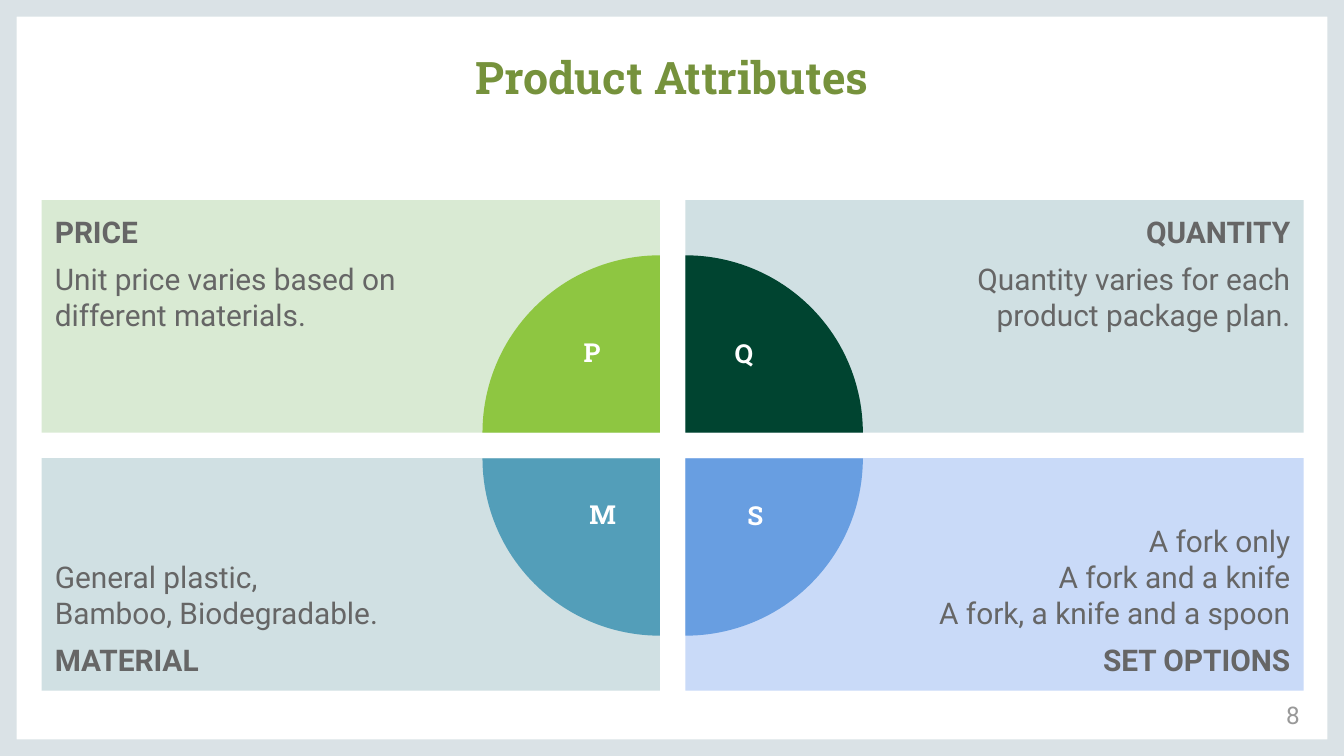
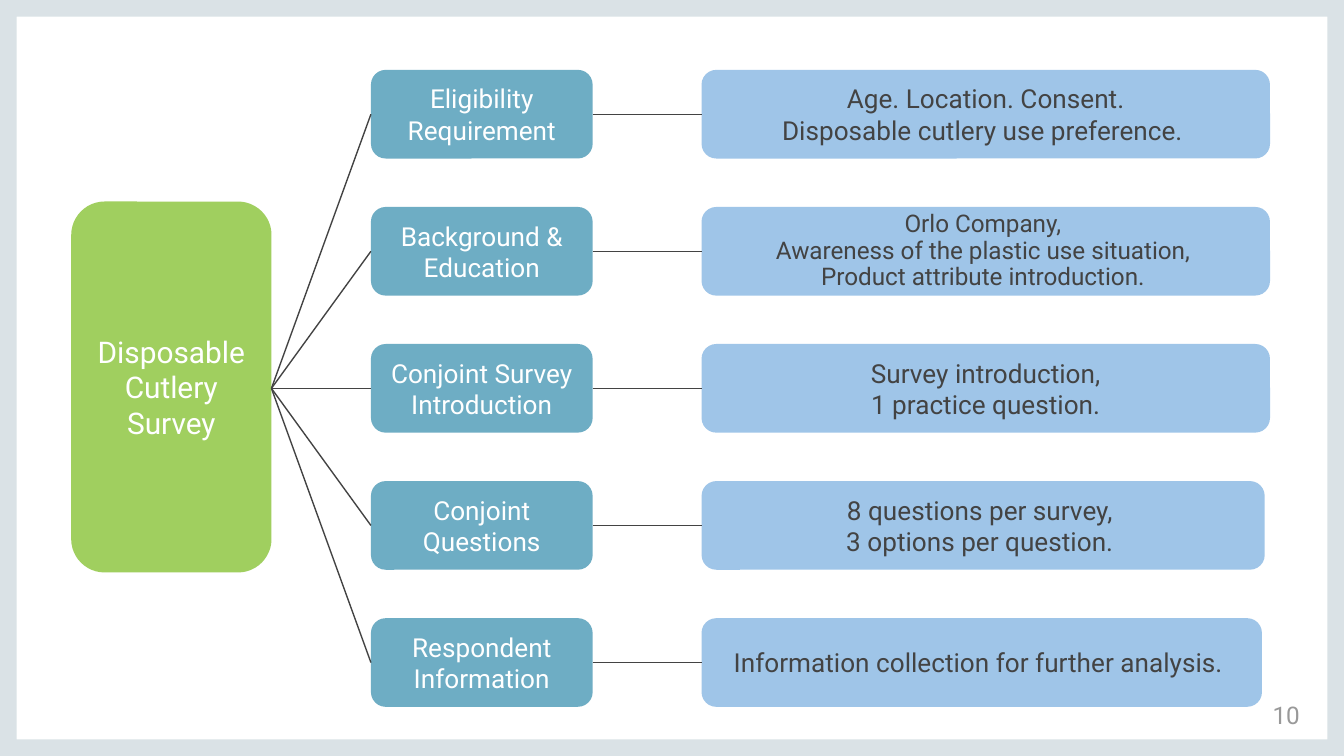
import pptx
import pptx.dml.color
import pptx.enum.shapes
import pptx.enum.text
import pptx.oxml
import pptx.oxml.ns
import pptx.util

Inches, Pt = pptx.util.Inches, pptx.util.Pt
RGB = pptx.dml.color.RGBColor.from_string
SHAPE = pptx.enum.shapes.MSO_SHAPE
ALIGN = pptx.enum.text.PP_ALIGN
ANCHOR = pptx.enum.text.MSO_ANCHOR

COLORS = {
    "frame": "DAE2E6", "title": "76923C", "page": "999999", "white": "FFFFFF",
    "body": "666666", "ink": "434343",
    "pale green": "D9EAD3", "pale teal": "D0E0E3", "pale blue": "C9DAF8",
    "green": "8EC641", "forest": "004430", "teal": "539EB9", "blue": "689EE1",
    "sky": "9FC5E8",
}
WIDTH = 10
HEIGHT = WIDTH * 9 / 16


def write(shape, paragraphs, size, color, font="Roboto", align=ALIGN.CENTER,
          anchor=ANCHOR.TOP, insets=(0.1, 0.05, 0.1, 0.05), gap=0, spacing=None):
    """Fill a shape with (text, bold) paragraphs; a newline is a line break."""
    frame = shape.text_frame
    frame.word_wrap = True
    frame.auto_size = pptx.enum.text.MSO_AUTO_SIZE.NONE
    frame.vertical_anchor = anchor
    (frame.margin_left, frame.margin_top,
     frame.margin_right, frame.margin_bottom) = map(Inches, insets)
    for i, (text, bold) in enumerate(paragraphs):
        paragraph = frame.add_paragraph() if i else frame.paragraphs[0]
        paragraph.alignment = align
        if spacing:
            paragraph.line_spacing = spacing
        if gap and i:
            paragraph.space_before = paragraph.space_after = Pt(gap)
        for j, line in enumerate(text.split("\n")):
            if j:
                paragraph.add_line_break()
            run = paragraph.add_run()
            run.text = line
            run.font.name, run.font.size, run.font.bold = font, Pt(size), bold
            run.font.color.rgb = RGB(COLORS[color])


def add_block(slide, kind, box, color, alpha=None):
    """Add a flat preset shape without outline or shadow."""
    shape = slide.shapes.add_shape(kind, *map(Inches, box))
    shape.shadow.inherit = False
    shape.line.fill.background()
    shape.fill.solid()
    shape.fill.fore_color.rgb = RGB(COLORS[color])
    if alpha:
        tint = shape.element.spPr.find(".//" + pptx.oxml.ns.qn("a:srgbClr"))
        tint.append(pptx.oxml.parse_xml(
            '<a:alpha xmlns:a="http://schemas.openxmlformats.org/drawingml/2006/main"'
            f' val="{alpha * 1000}"/>'))
    return shape


prs = pptx.Presentation()
prs.slide_width, prs.slide_height = Inches(WIDTH), Inches(HEIGHT)
attributes = prs.slides.add_slide(prs.slide_layouts[5])
survey = prs.slides.add_slide(prs.slide_layouts[6])

# Shared border, moved to the master
border = add_block(attributes, SHAPE.FRAME, (0, 0, WIDTH, HEIGHT), "frame")
border.adjustments[0] = 0.022
prs.slide_master.shapes.element.insert(2, border.element)

# Page numbers
for slide, number in ((attributes, "8"), (survey, "10")):
    page = slide.shapes.add_textbox(*map(Inches, (9.27, 5.11, 0.5, 0.43)))
    write(page, [(number, False)], 13, "page", align=ALIGN.RIGHT, insets=[0.1] * 4)

# Product attributes: title
title = attributes.shapes.title
title.left, title.top, title.width, title.height = map(Inches, (0.5, 0.31, 9, 0.56))
write(title, [("Product Attributes", True)], 24, "title", "Roboto Slab",
      anchor=ANCHOR.BOTTOM, insets=[0.1] * 4)

# Product attributes: four cards on a two by two grid
CARD_W, CARD_H = 4.6, 1.73
CARD_X, CARD_Y = (0.31, 5.1), (1.49, 3.41)
RADIUS = 1.32
cards = [
    # column, row, card colour, paragraphs
    (0, 0, "pale green", [("PRICE", True),
     ("Unit price varies based on different materials.", False)]),
    (1, 0, "pale teal", [("QUANTITY", True),
     ("Quantity varies for each product package plan.", False)]),
    (0, 1, "pale teal", [("General plastic, \nBamboo, Biodegradable.", False),
     ("MATERIAL", True)]),
    (1, 1, "pale blue",
     [("A fork only\nA fork and a knife\nA fork, a knife and a spoon", False),
      ("SET OPTIONS", True)]),
]
for column, row, color, paragraphs in cards:
    card = add_block(attributes, SHAPE.RECTANGLE,
                     (CARD_X[column], CARD_Y[row], CARD_W, CARD_H), color)
    write(card, paragraphs, 16, "body",
          align=ALIGN.RIGHT if column else ALIGN.LEFT,
          anchor=ANCHOR.BOTTOM if row else ANCHOR.TOP,
          insets=(1.5, 0.1, 0.1, 0.1) if column else (0.1, 0.1, 1.5, 0.1), gap=6)

# Product attributes: quarter circles centred on the cards' inner corners
quarters = [
    # column, row, rotation, colour
    (0, 0, 0, "green"),
    (1, 0, 90, "forest"),
    (1, 1, 180, "blue"),
    (0, 1, 270, "teal"),
]
for column, row, rotation, color in quarters:
    corner_x = CARD_X[column] + (0 if column else CARD_W)
    corner_y = CARD_Y[row] + (0 if row else CARD_H)
    quarter = add_block(attributes, SHAPE.PIE, (corner_x - RADIUS, corner_y - RADIUS,
                                                2 * RADIUS, 2 * RADIUS), color)
    quarter.adjustments[0], quarter.adjustments[1] = 108, 162
    quarter.rotation = rotation

# Product attributes: initials on the quarter circles
initials = [
    # letter, left, top, width, height
    ("P", 4.2, 2.45, 0.41, 0.48),
    ("Q", 5.31, 2.46, 0.45, 0.58),
    ("M", 4.16, 3.66, 0.65, 0.48),
    ("S", 5.44, 3.67, 0.36, 0.49),
]
for letter, *box in initials:
    initial = attributes.shapes.add_textbox(*map(Inches, box))
    write(initial, [(letter, True)], 14, "white", "Roboto Slab")

# Survey: root of the tree
ROOT_X, ROOT_W = 0.53, 1.49
STEP_X, STEP_W, DETAIL_X = 2.76, 1.65, 5.22
FIRST_Y, PITCH, ROW_H = 0.52, 1.02, 0.66
root = add_block(survey, SHAPE.ROUNDED_RECTANGLE, (ROOT_X, 1.5, ROOT_W, 2.76), "green", 84)
write(root, [("Disposable Cutlery", False), ("Survey", False)], 16, "white",
      anchor=ANCHOR.MIDDLE, insets=[0.1] * 4)

# Survey: one row for each step and its details
steps = [
    # step, detail width, detail lines
    ("Eligibility Requirement", 4.23,
     ["Age. Location. Consent.", "Disposable cutlery use preference. "]),
    ("Background & Education", 4.23,
     ["Orlo Company, ", "Awareness of the plastic use situation, ",
      "Product attribute introduction. "]),
    ("Conjoint Survey Introduction", 4.23,
     ["Survey introduction,", "1 practice question."]),
    ("Conjoint Questions", 4.19,
     ["8 questions per survey, ", "3 options per question. "]),
    ("Respondent Information", 4.17,
     ["Information collection for further analysis. "]),
]
root_y = FIRST_Y + 2 * PITCH + ROW_H / 2
for i, (name, detail_w, lines) in enumerate(steps):
    top = FIRST_Y + i * PITCH
    middle = top + ROW_H / 2
    dense = len(lines) > 2
    step = add_block(survey, SHAPE.ROUNDED_RECTANGLE, (STEP_X, top, STEP_W, ROW_H), "teal", 84)
    write(step, [(name, False)], 14, "white", anchor=ANCHOR.MIDDLE)
    detail = add_block(survey, SHAPE.ROUNDED_RECTANGLE, (DETAIL_X, top, detail_w, ROW_H), "sky")
    write(detail, [(line, False) for line in lines], 13 if dense else 14, "ink",
          anchor=ANCHOR.MIDDLE, spacing=0.9 if dense else None)
    # Branch from the root, then link to the details
    for ends in ((ROOT_X + ROOT_W, root_y, STEP_X, middle),
                 (STEP_X + STEP_W, middle, DETAIL_X, middle)):
        link = survey.shapes.add_connector(
            pptx.enum.shapes.MSO_CONNECTOR.STRAIGHT, *map(Inches, ends))
        link.line.color.rgb = RGB(COLORS["ink"])
        link.line.width = Pt(0.75)
        link.element.spPr.append(pptx.oxml.parse_xml(
            '<a:effectLst xmlns:a="http://schemas.openxmlformats.org/drawingml/2006/main"/>'))

prs.save("out.pptx")
